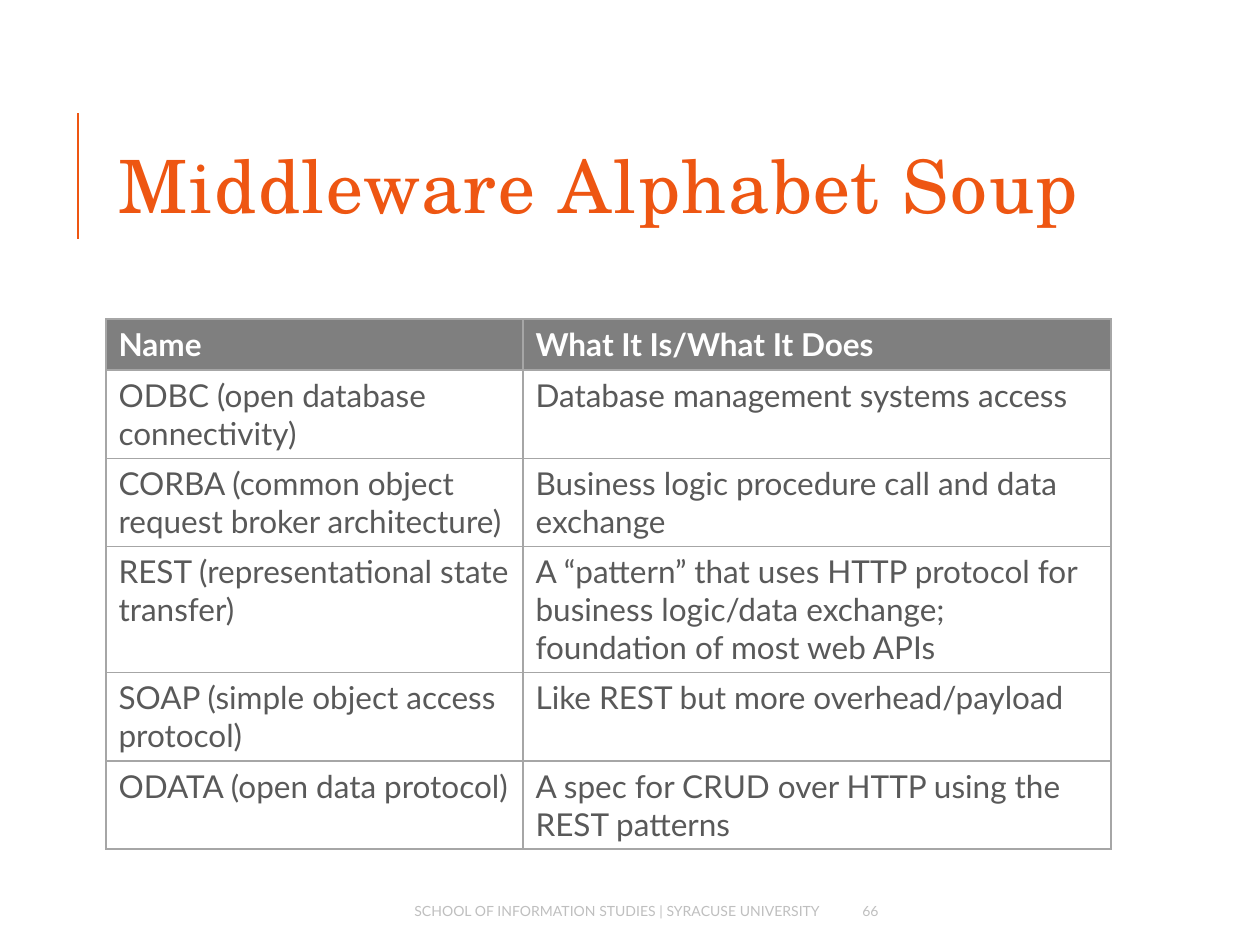
from dataclasses import dataclass
from lxml import etree
from pptx import Presentation
from pptx.dml.color import RGBColor
from pptx.enum.shapes import MSO_CONNECTOR
from pptx.enum.text import MSO_ANCHOR, PP_ALIGN
from pptx.oxml.ns import qn
from pptx.util import Emu, Pt

LINE = MSO_CONNECTOR.STRAIGHT
MIDDLE = MSO_ANCHOR.MIDDLE
LEFT, RIGHT = PP_ALIGN.LEFT, PP_ALIGN.RIGHT

SCALE = 914400 / 126
ORANGE, GRAY, EDGE = "EE5612", "7F7F7F", "A6A6A6"
WHITE, INK, PALE = "FFFFFF", "595959", "BFBFBF"
SERIF, SANS = "TeX Gyre Schola", "Lato"


@dataclass(frozen=True)
class Style:
    font: str
    size: int
    color: str
    bold: bool = False
    track: int = 0


@dataclass(frozen=True)
class Label:
    text: str
    left: int
    top: int
    width: int
    height: int
    style: Style
    align: int = LEFT


TITLE = Style(SERIF, 42, ORANGE, track=100)
HEAD = Style(SANS, 18, WHITE, bold=True)
BODY = Style(SANS, 18, INK)
FOOT = Style(SANS, 8, PALE)

LABELS = [
    Label("Middleware Alphabet Soup", 106, 81, 1004, 207, TITLE),
    Label("SCHOOL OF INFORMATION STUDIES | SYRACUSE UNIVERSITY",
          238, 892, 595, 38, FOOT, RIGHT),
    Label("66", 850, 892, 115, 38, FOOT),
]

COLS = [417, 588]
ROW = 51
ROWS = [
    ("Name", "What It Is/What It Does"),
    ("ODBC (open database connectivity)", "Database management systems access"),
    ("CORBA (common object request broker architecture)",
     "Business logic procedure call and data exchange"),
    ("REST (representational state transfer)",
     "A “pattern” that uses HTTP protocol for business logic/data exchange; "
     "foundation of most web APIs"),
    ("SOAP (simple object access protocol)", "Like REST but more overhead/payload"),
    ("ODATA (open data protocol)",
     "A spec for CRUD over HTTP using the REST patterns"),
]


def px(n: int) -> Emu:
    return Emu(round(n * SCALE))


def rgb(code: str) -> RGBColor:
    return RGBColor.from_string(code)


def add_run(para, text: str, style: Style) -> None:
    run = para.add_run()
    run.text = text
    font = run.font
    font.name, font.size, font.bold = style.font, Pt(style.size), style.bold
    font.color.rgb = rgb(style.color)
    if style.track:
        run._r.get_or_add_rPr().set("spc", str(style.track))


def add_label(slide, item: Label) -> None:
    box = slide.shapes.add_textbox(
        px(item.left), px(item.top), px(item.width), px(item.height))
    frame = box.text_frame
    frame.word_wrap = True
    frame.vertical_anchor = MIDDLE
    para = frame.paragraphs[0]
    para.alignment = item.align
    add_run(para, item.text, item.style)


def add_rule(slide, x: int, top: int, end: int) -> None:
    rule = slide.shapes.add_connector(LINE, px(x), px(end), px(x), px(top))
    rule.line.color.rgb = rgb(ORANGE)
    rule.line.width = Pt(1.5)
    etree.SubElement(rule._element.spPr, qn("a:effectLst"))


def add_edges(cell) -> None:
    props = cell._tc.get_or_add_tcPr()
    for side in ("lnL", "lnR", "lnT", "lnB"):
        edge = etree.SubElement(props, qn("a:" + side), w=str(Pt(1)))
        fill = etree.SubElement(edge, qn("a:solidFill"))
        etree.SubElement(fill, qn("a:srgbClr"), val=EDGE)


def add_grid(slide, left: int, top: int) -> None:
    table = slide.shapes.add_table(
        len(ROWS), len(COLS), px(left), px(top),
        px(sum(COLS)), px(ROW * len(ROWS))).table
    for col, width in zip(table.columns, COLS):
        col.width = px(width)
    for i, texts in enumerate(ROWS):
        table.rows[i].height = px(ROW)
        style, fill = (BODY, WHITE) if i else (HEAD, GRAY)
        for j, text in enumerate(texts):
            cell = table.cell(i, j)
            add_edges(cell)
            cell.fill.solid()
            cell.fill.fore_color.rgb = rgb(fill)
            add_run(cell.text_frame.paragraphs[0], text, style)


def main() -> None:
    deck = Presentation()
    deck.slide_width, deck.slide_height = px(1260), px(945)
    slide = deck.slides.add_slide(deck.slide_layouts[6])
    add_rule(slide, 78, 113, 239)
    add_grid(slide, 106, 319)
    for item in LABELS:
        add_label(slide, item)
    deck.save("out.pptx")


if __name__ == "__main__":
    main()
